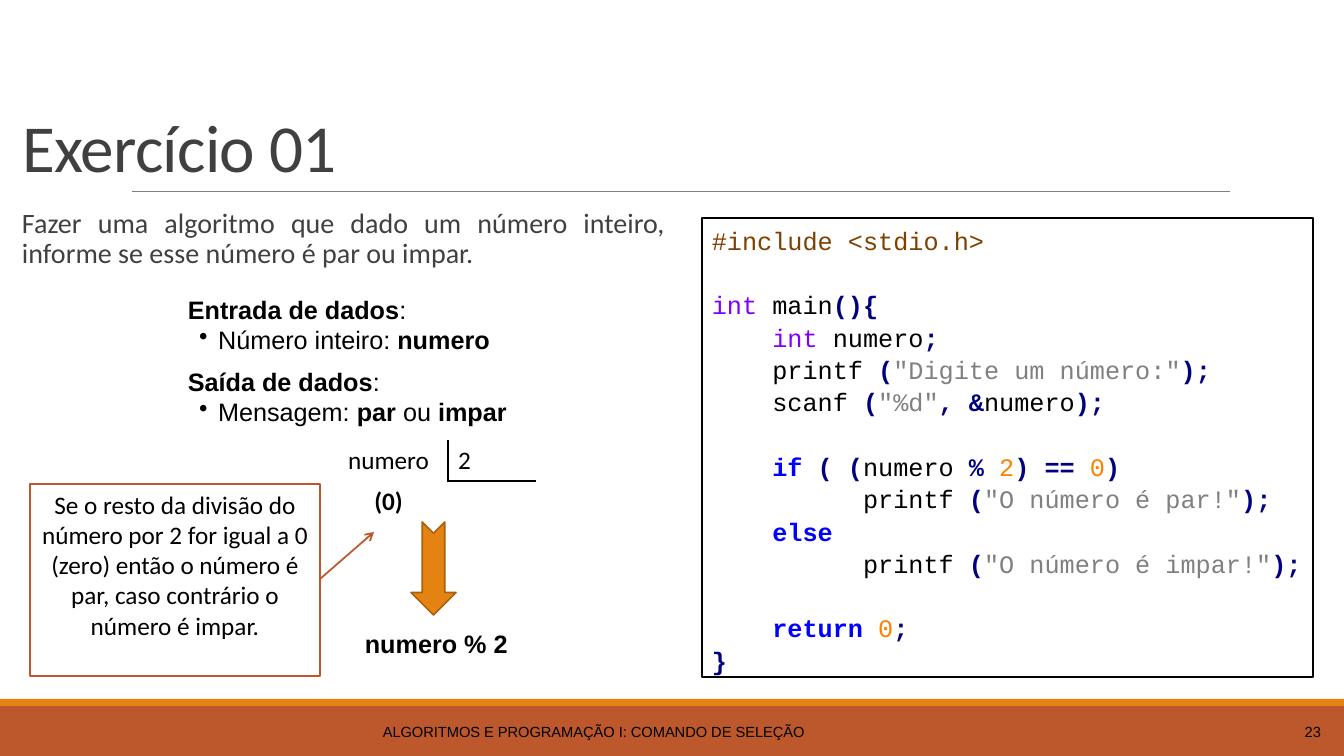
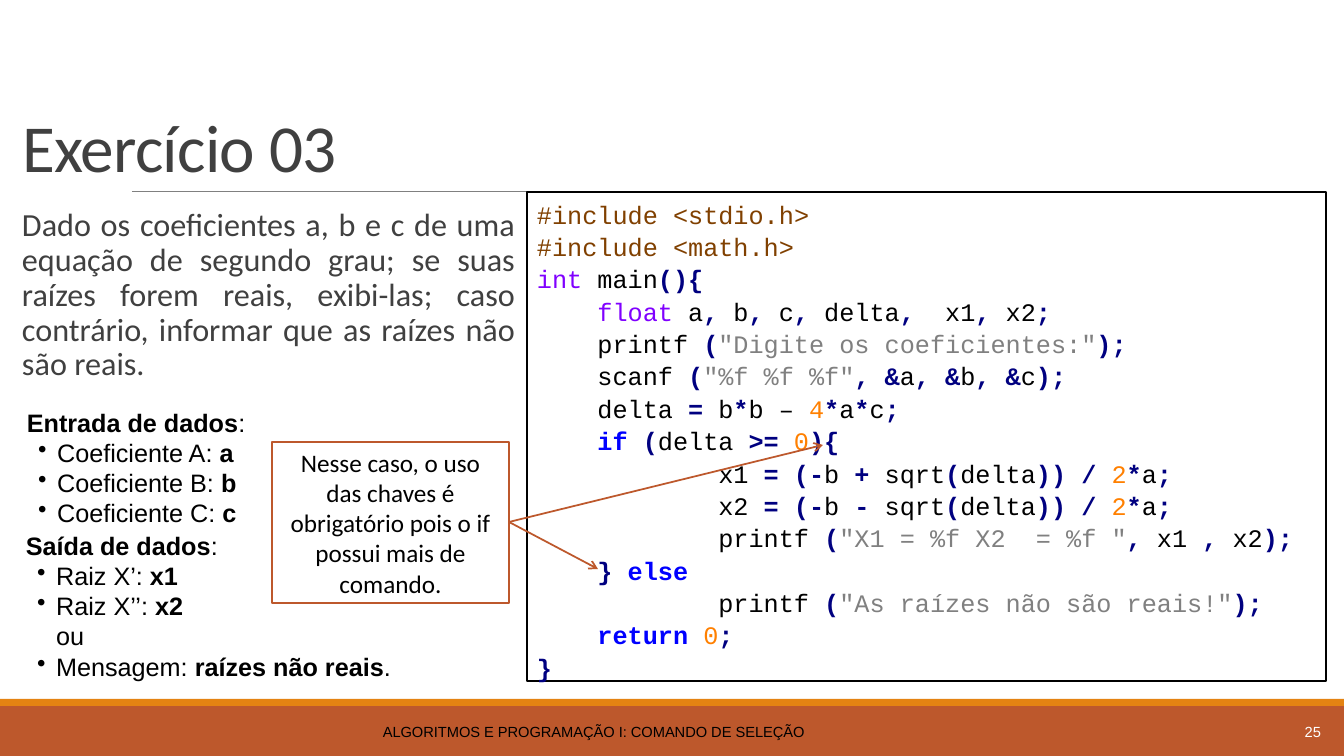
"""Build two programming exercise slides with statements, notes and highlighted C code."""
from lxml.etree import SubElement
from pptx import Presentation
from pptx.dml.color import RGBColor
from pptx.enum.shapes import MSO_CONNECTOR, MSO_SHAPE
from pptx.enum.text import MSO_ANCHOR as ANCHOR, MSO_AUTO_SIZE, PP_ALIGN as ALIGN
from pptx.oxml.ns import qn
from pptx.util import Pt

PX = 9071
RUST, ORANGE, BLACK, WHITE, GREY = "BD582C", "E48312", "000000", "FFFFFF", "808080"
CODE_LINE = 23
rgb = RGBColor.from_string

# style key -> colour, bold
STYLES = {
    "n": (BLACK, False),
    "b": (BLACK, True),
    "g": ("404040", False),
    "f": (WHITE, False),
    "p": ("804000", False),
    "k": ("8000FF", False),
    "o": ("000080", True),
    "s": (GREY, False),
    "d": ("FF8000", False),
    "w": ("0000FF", True),
}


def write(frame, lines, size=18, font="Arial", align=ALIGN.LEFT, anchor=ANCHOR.TOP,
          spacing=1, before=0, after=0):
    """Write lines of styled runs; leading spaces set the indent, an empty line a gap."""
    frame.word_wrap = True
    frame.auto_size = MSO_AUTO_SIZE.NONE
    frame.vertical_anchor = anchor
    paragraph, gap = None, before
    for line in lines:
        if not line:
            gap += CODE_LINE
            continue
        paragraph = frame.add_paragraph() if paragraph else frame.paragraphs[0]
        paragraph.alignment = align
        paragraph.line_spacing = spacing
        paragraph.space_before, paragraph.space_after = Pt(gap), Pt(after)
        gap = before
        content = line.lstrip(" ")
        bullet = content.startswith("•")
        columns = len(line) - len(content)
        properties = paragraph._p.get_or_add_pPr()
        properties.set("marL", str(Pt(columns * size * 0.6)))
        properties.set("indent", str(-19 * PX if bullet else 0))
        if bullet:
            SubElement(properties, qn("a:buChar")).set("char", "•")
        else:
            SubElement(properties, qn("a:buNone"))
        for part in content.lstrip("•").split("|"):
            colour, bold = STYLES[part[0]]
            run = paragraph.add_run()
            run.text = part[1:]
            run.font.name, run.font.size, run.font.bold = font, Pt(size), bold
            run.font.color.rgb = rgb(colour)


def draw(slide, box, fill, line=None, kind=MSO_SHAPE.RECTANGLE):
    """Add a preset shape with a plain fill and an optional outline."""
    shape = slide.shapes.add_shape(kind, *(length * PX for length in box))
    shape.shadow.inherit = False
    shape.fill.solid()
    shape.fill.fore_color.rgb = rgb(fill)
    if line:
        shape.line.color.rgb = rgb(line)
        shape.line.width = Pt(1.25)
    else:
        shape.line.fill.background()
    return shape


EXERCISES = [
    {
        "title": "gExercício 01",
        "number": "n23",
        "statement": "gFazer uma algoritmo que dado um número inteiro, informe se esse número "
                     "é par ou impar.",
        "statement_width": 643,
        "statement_size": 20,
        "notes": [
            ((178, 289, 334, 72), ["bEntrada de dados|n:", "  •nNúmero inteiro: |bnumero"]),
            ((178, 361, 350, 72), ["bSaída de dados|n:", "  •nMensagem: |bpar |nou|b impar"]),
            ((355, 623, 180, 40), ["bnumero % 2"]),
        ],
        "code_box": (702, 218, 611, 459),
        "code": [
            "p#include <stdio.h>",
            "",
            "kint |nmain|o(){",
            "    kint|n numero|o;",
            '    nprintf |o(|s"Digite um número:"|o);',
            '    nscanf |o(|s"%d"|o, &|nnumero|o);',
            "",
            "    wif |o( (|nnumero |o% |d2|o) == |d0|o)",
            '          nprintf |o(|s"O número é par!"|o);',
            "    welse",
            '          nprintf |o(|s"O número é impar!"|o);',
            "",
            "    wreturn |d0|o;",
            "o}",
        ],
        "callout_box": (30, 484, 290, 192),
        "callout": "nSe o resto da divisão do número por 2 for igual a 0 (zero) então o número "
                   "é par, caso contrário o número é impar.",
        "arrows": [(320, 579, 374, 532)],
    },
    {
        "title": "gExercício 03",
        "number": "f25",
        "statement": "gDado os coeficientes a, b e c de uma equação de segundo grau; se suas "
                     "raízes forem reais, exibi-las; caso contrário, informar que as raízes "
                     "não são reais.",
        "statement_width": 494,
        "statement_size": 23,
        "notes": [
            ((17, 402, 252, 132), ["bEntrada de dados|n:", "  •nCoeficiente A: |ba",
                                   "  •nCoeficiente B: |bb", "  •nCoeficiente C: |bc"]),
            ((16, 525, 402, 163), ["bSaída de dados|n:", "  •nRaiz X’: |bx1",
                                   "  •nRaiz X’’: |bx2", "  nou",
                                   "  •nMensagem: |braízes não reais|n."]),
        ],
        "code_box": (527, 192, 799, 489),
        "code": [
            "p#include <stdio.h>",
            "p#include <math.h>",
            "kint |nmain|o(){",
            "    kfloat|n a|o,|n b|o,|n c|o,|n delta|o,|n  x1|o,|n x2|o;",
            '    nprintf |o(|s"Digite os coeficientes:"|o);',
            '    nscanf |o(|s"%f %f %f"|o, &|na|o, &|nb|o, &|nc|o);',
            "    ndelta |o=|n b|o*|nb – |d4|o*|na|o*|nc|o;",
            "    wif |o(|ndelta |o>= |d0|o){",
            "            nx1 |o= (-|nb |o+ |nsqrt|o(|ndelta|o)) / |d2|o*|na|o;",
            "            nx2 |o= (-|nb |o- |nsqrt|o(|ndelta|o)) / |d2|o*|na|o;",
            '            nprintf |o(|s"X1 = %f X2  = %f "|o,|n x1 |o,|n x2|o);',
            "    o} |welse",
            '            nprintf |o(|s"As raízes não são reais!"|o);',
            "    wreturn |d0|o;",
            "o}",
        ],
        "callout_box": (272, 442, 237, 161),
        "callout": "nNesse caso, o uso das chaves é obrigatório pois o if possui mais de comando.",
        "arrows": [(509, 522, 823, 445), (509, 522, 598, 569)],
    },
]

presentation = Presentation()
presentation.slide_width, presentation.slide_height = 1344 * PX, 756 * PX
layout = presentation.slide_layouts[1]
for placeholder in list(layout.placeholders)[2:]:
    layout.shapes.element.remove(placeholder.element)
slides = [presentation.slides.add_slide(layout) for exercise in EXERCISES]

bands = [draw(slides[0], (0, 706, 1344, 50), RUST), draw(slides[0], (0, 699, 1344, 7), ORANGE)]
for band in bands:
    layout.shapes.element.append(band.element)

connectors = []
for slide, exercise in zip(slides, EXERCISES):
    title, body = slide.shapes.title, slide.placeholders[1]
    body_box = (22, 204, exercise["statement_width"], 495)
    for placeholder, box in ((title, (12, 31, 1320, 160)), (body, body_box)):
        placeholder.left, placeholder.top, placeholder.width, placeholder.height = (
            length * PX for length in box)
    write(title.text_frame, [exercise["title"]], 48, "Calibri", anchor=ANCHOR.BOTTOM, spacing=0.85)
    title.text_frame.paragraphs[0].runs[0].font._element.set("spc", "-50")
    body.text_frame.margin_left = body.text_frame.margin_right = 0
    write(body.text_frame, [exercise["statement"]], exercise["statement_size"], "Calibri",
          ALIGN.JUSTIFY, spacing=0.9, before=12, after=2)

    footers = [
        ((12, 712, 1164, 40), "nALGORITMOS E PROGRAMAÇÃO I: COMANDO DE SELEÇÃO", ALIGN.CENTER),
        ((1187, 712, 144, 40), exercise["number"], ALIGN.RIGHT),
    ]
    for box, text, align in footers:
        footer = slide.shapes.add_textbox(*(length * PX for length in box))
        write(footer.text_frame, [text], 10.5, align=align, anchor=ANCHOR.MIDDLE)

    for box, lines in exercise["notes"]:
        note = slide.shapes.add_textbox(*(length * PX for length in box))
        write(note.text_frame, lines)

    code = draw(slide, exercise["code_box"], WHITE, BLACK)
    write(code.text_frame, exercise["code"], font="Courier New", spacing=1.07)
    callout = draw(slide, exercise["callout_box"], WHITE, RUST)
    write(callout.text_frame, [exercise["callout"]], font="Calibri", align=ALIGN.CENTER)
    connectors += [(slide, ends, RUST, 1.25, True) for ends in exercise["arrows"]]

division_arrow = draw(slides[0], (387, 546, 93, 45), ORANGE, "A9610D",
                      MSO_SHAPE.NOTCHED_RIGHT_ARROW)
division_arrow.rotation = 90

division = slides[0].shapes.add_table(2, 2, 329 * PX, 440 * PX, 207 * PX, 82 * PX).table
division.first_row = division.horz_banding = False
division.columns[0].width, division.columns[1].width = 119 * PX, 88 * PX
division_cells = [
    (0, 0, "nnumero", ALIGN.CENTER, ["lnR"]),
    (0, 1, "n2", ALIGN.LEFT, ["lnL", "lnB"]),
    (1, 0, "b(0)", ALIGN.CENTER, []),
    (1, 1, "", ALIGN.LEFT, ["lnT"]),
]
for row, column, text, align, borders in division_cells:
    cell = division.cell(row, column)
    write(cell.text_frame, [text], font="Calibri", align=align)
    properties = cell._tc.get_or_add_tcPr()
    for side in ("lnL", "lnR", "lnT", "lnB"):
        border = SubElement(properties, qn("a:" + side), w=str(Pt(1)))
        if side in borders:
            fill = SubElement(border, qn("a:solidFill"))
            SubElement(fill, qn("a:srgbClr"), val=BLACK)
        else:
            SubElement(border, qn("a:noFill"))
    cell.fill.background()

connectors.append((slides[1], (132, 191, 1230, 191), GREY, 0.5, False))
for slide, ends, colour, width, pointed in connectors:
    connector = slide.shapes.add_connector(MSO_CONNECTOR.STRAIGHT, *(end * PX for end in ends))
    connector.line.color.rgb = rgb(colour)
    connector.line.width = Pt(width)
    outline = connector.element.spPr
    if pointed:
        SubElement(outline.find(qn("a:ln")), qn("a:tailEnd"), type="arrow")
    else:
        layout.shapes.element.append(connector.element)
    SubElement(outline, qn("a:effectLst"))

presentation.save("out.pptx")
